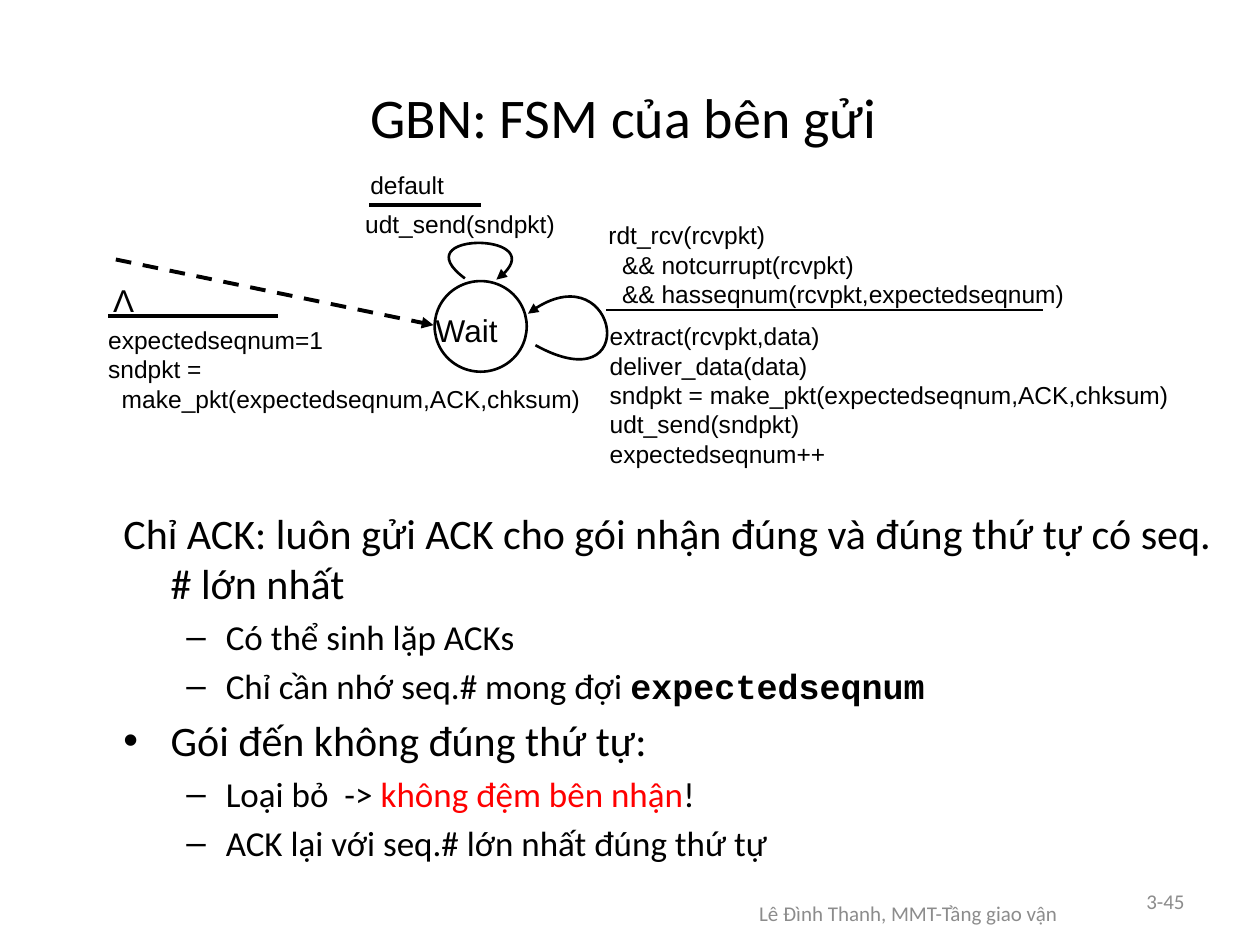
from lxml.etree import SubElement
from pptx import Presentation
from pptx.dml.color import RGBColor
from pptx.enum.dml import MSO_LINE
from pptx.enum.shapes import MSO_CONNECTOR, MSO_SHAPE
from pptx.enum.text import MSO_ANCHOR, PP_ALIGN
from pptx.oxml.ns import qn
from pptx.util import Pt

COLORS = {"ink": "000000", "paper": "FFFFFF", "muted": "8C8C8C", "accent": "FF0000"}


def rgb(name):
    return RGBColor.from_string(COLORS[name])


class SlideBuilder:
    body_font = "Calibri"
    label_font = "Arial"
    code_font = "Courier New"

    def __init__(self, slide):
        self.slide = slide

    def text(self, box, lines, size, font=label_font, color="ink",
             align=PP_ALIGN.LEFT, anchor=MSO_ANCHOR.TOP, wrap=True):
        shape = self.slide.shapes.add_textbox(*map(Pt, box))
        frame = shape.text_frame
        frame.word_wrap = wrap
        frame.vertical_anchor = anchor
        frame.text = "\n".join(lines)
        for paragraph in frame.paragraphs:
            paragraph.alignment = align
            paragraph.font.size = Pt(size)
            paragraph.font.name = font
            paragraph.font.color.rgb = rgb(color)

    def outline(self, box, points):
        """Points in the list: start, two control points, end."""

    def stroke(self, shape, width, arrow=False):
        shape.line.color.rgb = rgb("ink")
        shape.line.width = Pt(width)
        if arrow:
            line = shape.line._get_or_add_ln()
            SubElement(line, qn("a:tailEnd"), type="triangle")

    def line(self, start, end, width=2.25, dashed=False, arrow=False):
        connector = self.slide.shapes.add_connector(
            MSO_CONNECTOR.STRAIGHT, *map(Pt, start + end))
        if dashed:
            connector.line.dash_style = MSO_LINE.DASH
        self.stroke(connector, width, arrow)
        SubElement(connector._element.spPr, qn("a:effectLst"))

    def state(self, box):
        shape = self.slide.shapes.add_shape(MSO_SHAPE.OVAL, *map(Pt, box))
        shape.shadow.inherit = False
        shape.fill.solid()
        shape.fill.fore_color.rgb = rgb("paper")
        self.stroke(shape, 1.5)

    def loop(self, start, *controls_and_end):
        builder = self.slide.shapes.build_freeform(*map(Pt, start))
        builder.add_line_segments(
            [(Pt(x), Pt(y)) for x, y in controls_and_end], close=False)
        shape = builder.convert_to_shape()
        shape.shadow.inherit = False
        shape.fill.background()
        # Join the three segment points into one cubic curve
        path = next(shape._element.iter(qn("a:path")))
        segments = path.findall(qn("a:lnTo"))
        curve = SubElement(path, qn("a:cubicBezTo"))
        for segment in segments:
            curve.append(segment[0])
            path.remove(segment)
        self.stroke(shape, 1.5, arrow=True)

    def bullets(self, box, items):
        frame = self.slide.shapes.add_textbox(*map(Pt, box)).text_frame
        frame.word_wrap = True
        for index, (level, bullet, runs) in enumerate(items):
            paragraph = frame.add_paragraph() if index else frame.paragraphs[0]
            size, margin, indent = ((24, 27, -27), (20, 58.5, -22.5))[level]
            paragraph.level = level
            properties = paragraph._p.get_or_add_pPr()
            properties.set("marL", str(Pt(margin)))
            properties.set("indent", str(Pt(indent)))
            if index:
                paragraph.space_before = Pt(size * 0.2)
            if bullet:
                SubElement(properties, qn("a:buFont"), typeface=self.label_font)
                SubElement(properties, qn("a:buChar"), char=bullet)
            else:
                SubElement(properties, qn("a:buNone"))
            paragraph.font.size = Pt(size)
            for content, kind in runs:
                run = paragraph.add_run()
                run.text = content
                run.font.name = self.code_font if kind == "code" else self.body_font
                run.font.bold = kind == "code"
                run.font.color.rgb = rgb("accent" if kind == "accent" else "ink")


def main():
    presentation = Presentation()
    presentation.slide_width, presentation.slide_height = Pt(720), Pt(540)
    slide = presentation.slides.add_slide(presentation.slide_layouts[6])
    builder = SlideBuilder(slide)

    # Footer, page number and title
    middle = MSO_ANCHOR.MIDDLE
    builder.text((384, 504, 270, 36), ["Lê Đình Thanh, MMT-Tầng giao vận"], 12,
                 builder.body_font, "muted", PP_ALIGN.CENTER, middle)
    builder.text((516, 500.5, 168, 28.5), ["3-45"], 12,
                 builder.body_font, "muted", PP_ALIGN.RIGHT, middle)
    builder.text((36, 21.6, 648, 90), ["GBN: FSM của bên gửi "], 32,
                 builder.body_font, align=PP_ALIGN.CENTER, anchor=middle)

    # Explanation
    builder.bullets((63.4, 286.5, 641.5, 224.6), [
        (0, None, [("Chỉ ACK: luôn gửi ACK cho gói nhận đúng và đúng thứ tự "
                    "có seq. # lớn nhất", "plain")]),
        (1, "–", [("Có thể sinh lặp ACKs", "plain")]),
        (1, "–", [("Chỉ cần nhớ seq.# mong đợi ", "plain"),
                  ("expectedseqnum", "code")]),
        (0, "•", [("Gói đến không đúng thứ tự:", "plain")]),
        (1, "–", [("Loại bỏ  -> ", "plain"), ("không đệm bên nhận", "accent"),
                  ("!", "plain")]),
        (1, "–", [("ACK lại với seq.# lớn nhất đúng thứ tự", "plain")]),
    ])

    # Wait state with its initial arrow and two loops
    builder.state((248.4, 160.6, 52.6, 51.8))
    builder.text((241.9, 174.2, 63.4, 18.7), ["Wait"], 18)
    builder.line((66.2, 148.3), (247.7, 185.8), dashed=True, arrow=True)
    builder.loop((306, 197.3), (367.2, 231.1), (352.8, 140.4), (301.7, 179.3))
    builder.loop((265.7, 159.1), (229.7, 132.5), (320.4, 132.5), (283.7, 159.8))

    # Default transition
    builder.text((204.5, 93.6, 56.9, 19.4), ["default"], 14, wrap=False)
    builder.line((211, 117.4), (275, 117.4))
    builder.text((201.6, 115.9, 127.4, 24.5), ["udt_send(sndpkt)"], 14)

    # Transition on a correct packet
    builder.text((340.6, 122.4, 280.8, 44.6), [
        "rdt_rcv(rcvpkt)",
        "  && notcurrupt(rcvpkt)",
        "  && hasseqnum(rcvpkt,expectedseqnum)"], 14)
    builder.line((346.3, 177.1), (596.2, 177.1), width=1.5)
    builder.text((341.3, 180, 339.8, 67.7), [
        "extract(rcvpkt,data)",
        "deliver_data(data)",
        "sndpkt = make_pkt(expectedseqnum,ACK,chksum)",
        "udt_send(sndpkt)",
        "expectedseqnum++"], 14)

    # Initial transition
    builder.text((57.6, 157, 25.2, 26.6), ["Λ"], 18, wrap=False)
    builder.line((61.9, 180.7), (159.1, 180.7))
    builder.text((54.7, 182.2, 286.6, 77), [
        "expectedseqnum=1",
        "sndpkt =",
        "  make_pkt(expectedseqnum,ACK,chksum)"], 14)

    presentation.save("out.pptx")


if __name__ == "__main__":
    main()
